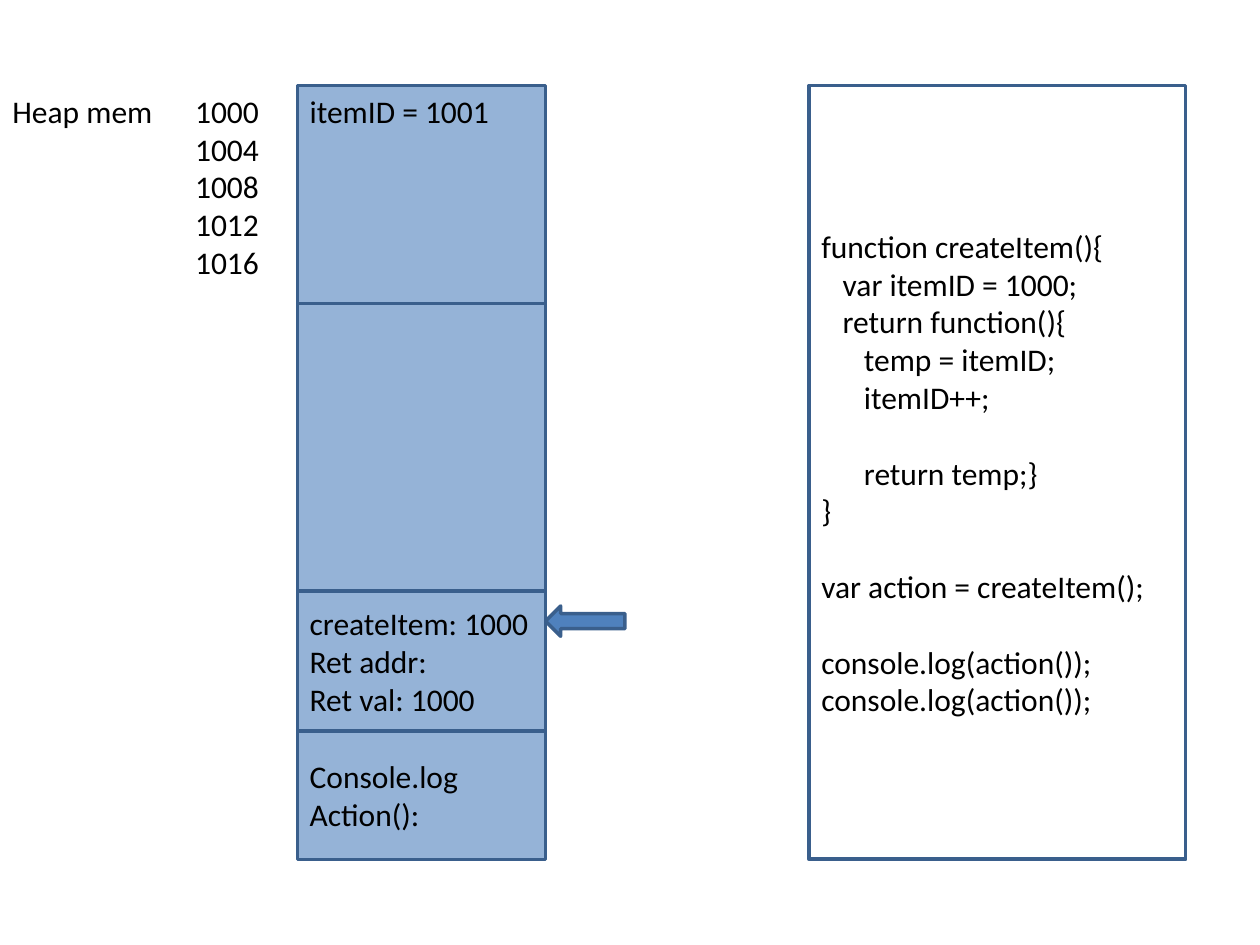
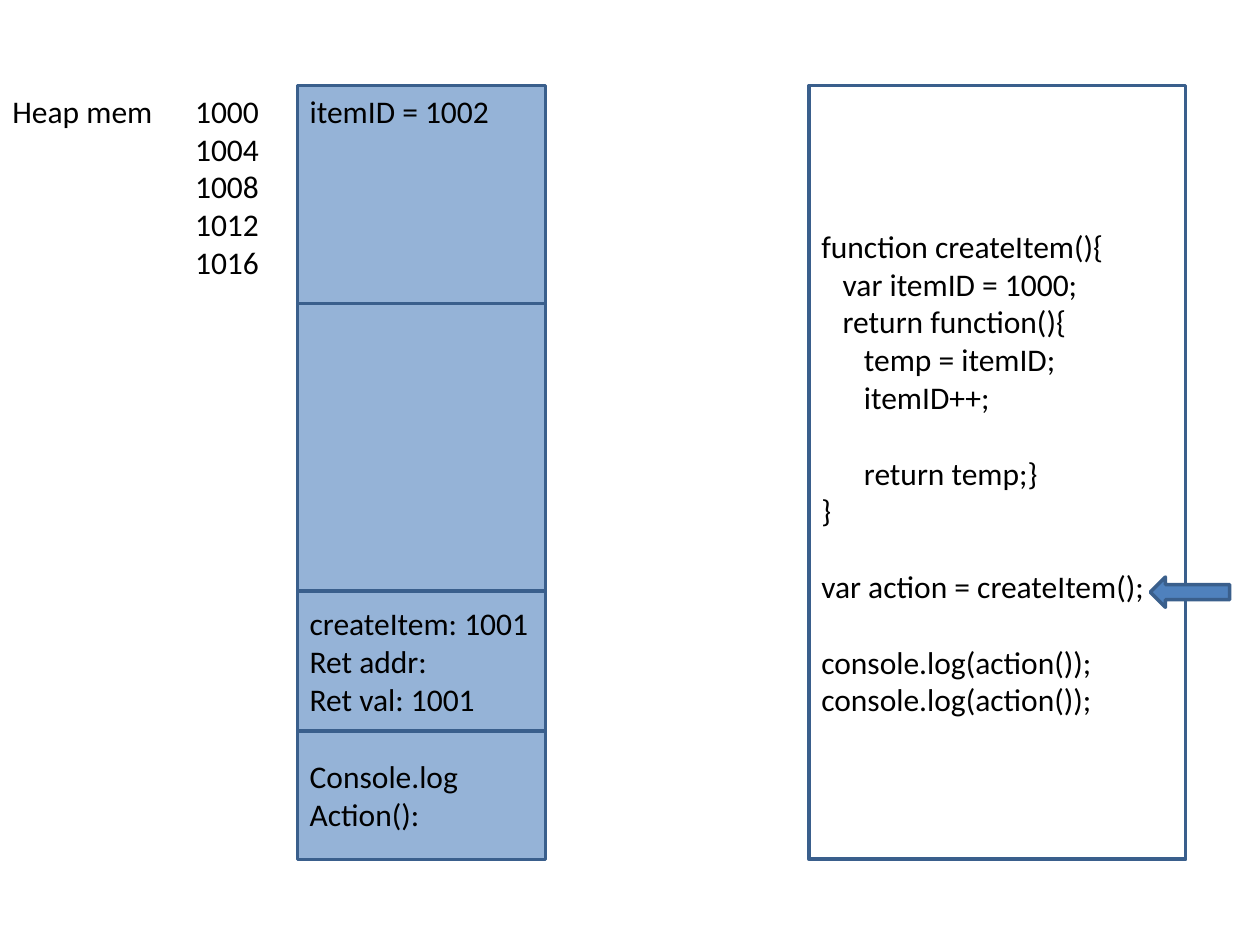
from lxml import etree
from pptx import Presentation
from pptx.dml.color import RGBColor
from pptx.enum.shapes import MSO_SHAPE
from pptx.enum.text import MSO_ANCHOR, PP_ALIGN
from pptx.oxml.ns import qn
from pptx.util import Inches, Pt

RECTANGLE, LEFT_ARROW = MSO_SHAPE.RECTANGLE, MSO_SHAPE.LEFT_ARROW
TOP, MIDDLE = MSO_ANCHOR.TOP, MSO_ANCHOR.MIDDLE
LEFT = PP_ALIGN.LEFT

WHITE = RGBColor(0xFF, 0xFF, 0xFF)
BLACK = RGBColor(0x00, 0x00, 0x00)
PALE_BLUE = RGBColor(0x95, 0xB3, 0xD7)
BLUE = RGBColor(0x4F, 0x81, 0xBD)
DARK_BLUE = RGBColor(0x3A, 0x5F, 0x8C)

# The grid has 100 columns and 75 rows
COLUMNS, ROWS = 100, 75
BLANK_LAYOUT = 6
LINE_PITCH = 21.6

MEMORY_TOP = 6.8
MEMORY_LEFT, MEMORY_WIDTH = 23.6, 19.7
HEAP, FREE, CALL, LOG = 17.3, 22.8, 11.1, 10.2
MEMORY_HEIGHT = HEAP + FREE + CALL + LOG
ADDRESS_TAB = 14.5

ADDRESSES = "Heap mem" + "\n".join(f"\t{number}" for number in range(1000, 1017, 4))

CODE = """function createItem(){
   var itemID = 1000;
   return function(){
      temp = itemID;
      itemID++;

      return temp;}
}

var action = createItem();

console.log(action());
console.log(action());"""


def write(box, text, size=18, font="Calibri", color=BLACK, anchor=TOP, tab=None):
    """Write one paragraph per line; an empty line becomes space before the next."""
    frame = box.text_frame
    frame.word_wrap = True
    frame.vertical_anchor = anchor
    para, gap = frame.paragraphs[0], 0
    for number, line in enumerate(text.split("\n")):
        if not line:
            gap += LINE_PITCH
            continue
        if number:
            para = frame.add_paragraph()
        para.alignment = LEFT
        if tab:
            stops = etree.SubElement(para._p.get_or_add_pPr(), qn("a:tabLst"))
            etree.SubElement(stops, qn("a:tab"), pos=str(tab), algn="l")
        if gap:
            para.space_before = Pt(gap)
            gap = 0
        span = para.add_run()
        span.text = line
        span.font.size = Pt(size)
        span.font.name = font
        span.font.color.rgb = color


class Painter:
    """Holds the deck, its grid and the current page."""

    def __init__(self):
        self.deck = Presentation()
        self.deck.slide_width, self.deck.slide_height = Inches(10), Inches(7.5)
        self.page = None

    def new_page(self):
        layout = self.deck.slide_layouts[BLANK_LAYOUT]
        self.page = self.deck.slides.add_slide(layout)

    def across(self, columns):
        return round(self.deck.slide_width * columns / COLUMNS)

    def down(self, rows):
        return round(self.deck.slide_height * rows / ROWS)

    def shape(self, kind, left, top, width, height, fill, line=DARK_BLUE):
        box = self.page.shapes.add_shape(
            kind, self.across(left), self.down(top), self.across(width), self.down(height))
        box.shadow.inherit = False
        box.fill.solid()
        box.fill.fore_color.rgb = fill
        box.line.color.rgb = line
        box.line.width = Pt(2)
        return box

    def code_panel(self):
        panel = self.shape(RECTANGLE, 64.2, MEMORY_TOP, 29.9, MEMORY_HEIGHT, WHITE)
        write(panel, CODE, anchor=MIDDLE)

    def address_list(self):
        box = self.shape(RECTANGLE, 0, MEMORY_TOP, 23.2, HEAP, WHITE, line=WHITE)
        write(box, ADDRESSES, tab=self.across(ADDRESS_TAB))

    def memory_stack(self, cells):
        top = MEMORY_TOP
        for height, text, anchor in cells:
            cell = self.shape(RECTANGLE, MEMORY_LEFT, top, MEMORY_WIDTH, height, PALE_BLUE)
            if text:
                write(cell, text, anchor=anchor)
            top += height

    def pointer(self, left, top):
        self.shape(LEFT_ARROW, left, top, 6.3, 2.4, BLUE)


def main():
    painter = Painter()

    # Each step: stored item, returned value, place of the pointer
    steps = [
        (1001, 1000, (43.3, 48.1)),
        (1002, 1001, (91.3, 45.8)),
    ]
    for item, value, place in steps:
        painter.new_page()
        painter.code_panel()
        painter.address_list()
        painter.memory_stack([
            (HEAP, f"itemID = {item}", TOP),
            (FREE, "", TOP),
            (CALL, f"createItem: {value}\nRet addr:\nRet val: {value}", MIDDLE),
            (LOG, "Console.log\nAction():", MIDDLE),
        ])
        painter.pointer(*place)

    painter.deck.save("out.pptx")


if __name__ == "__main__":
    main()
